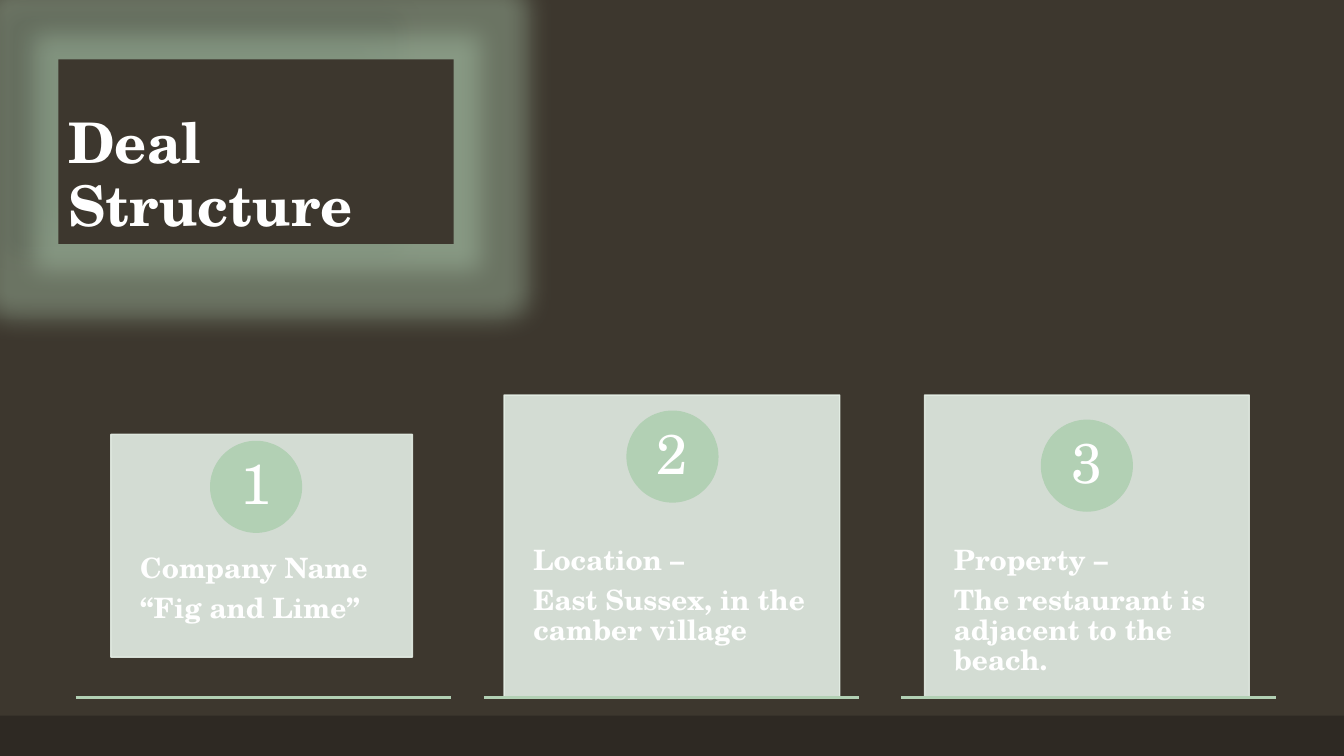
from lxml.etree import SubElement
from pptx import Presentation
from pptx.dml.color import RGBColor
from pptx.enum.shapes import MSO_CONNECTOR, MSO_SHAPE
from pptx.enum.text import MSO_ANCHOR, PP_ALIGN
from pptx.oxml.ns import qn
from pptx.util import Inches, Pt

FONT = "TeX Gyre Schola"
BACKGROUND, FOOTER, WHITE = "3D372E", "2E2923", "FFFFFF"
GREEN, PALE_GREEN = "B2D0B4", "E4EEE5"
WIDTH, HEIGHT = 13.33, 7.5
BADGE = 0.9
BASELINE = 6.92
RULE_WIDTH = 3.72

# rule left, card box, text top, badge (left, top), paragraphs
STEPS = [
    (0.75, (1.1, 4.31, 2.99, 2.21), 5.15, (2.09, 4.38),
     ["Company Name", "“Fig and Lime”"]),
    (4.8, (5, 3.92, 3.33, 3), 5.06, (6.22, 4.08),
     ["Location –", "East Sussex, in the camber village"]),
    (8.94, (9.17, 3.92, 3.22, 3), 5.06, (10.33, 4.17),
     ["Property –", "The restaurant is adjacent to the beach."]),
]


def rgb(color):
    return RGBColor.from_string(color)


def set_alpha(color_parent, percent):
    color = next(color_parent.iter(qn("a:srgbClr")))
    SubElement(color, qn("a:alpha"), val=str(percent * 1000))


def add_block(slide, kind, box, fill, outline=None):
    block = slide.shapes.add_shape(kind, *map(Inches, box))
    block.shadow.inherit = False
    block.fill.solid()
    block.fill.fore_color.rgb = rgb(fill)
    if outline:
        block.line.color.rgb = rgb(outline)
        block.line.width = Pt(1)
    else:
        block.line.fill.background()
    return block


def set_frame(frame, anchor, side, top):
    frame.word_wrap = True
    frame.vertical_anchor = anchor
    frame.margin_left = frame.margin_right = Inches(side)
    frame.margin_top = frame.margin_bottom = Inches(top)


def write(paragraph, words, size, bold=False, align=PP_ALIGN.LEFT):
    paragraph.alignment = align
    paragraph.line_spacing = 0.9
    run = paragraph.add_run()
    run.text = words
    run.font.name = FONT
    run.font.size = Pt(size)
    run.font.bold = bold
    run.font.color.rgb = rgb(WHITE)


def add_halo(block):
    """Give the block a green glow and a reduced dark shadow."""
    effects = block._element.spPr.find(qn("a:effectLst"))
    glow = SubElement(effects, qn("a:glow"), rad=str(Inches(0.5)))
    SubElement(glow, qn("a:srgbClr"), val=GREEN)
    set_alpha(glow, 40)
    shadow = SubElement(effects, qn("a:outerShdw"), blurRad=str(Pt(4)),
                        dist=str(Pt(4)), dir="5400000", sx="73500",
                        sy="73500", algn="tl", rotWithShape="0")
    SubElement(shadow, qn("a:srgbClr"), val="000000")
    set_alpha(shadow, 43)


def add_title(slide, box):
    """Place the title over its panel, so that only the panel glows."""
    add_halo(add_block(slide, MSO_SHAPE.RECTANGLE, box, BACKGROUND))
    frame = slide.shapes.add_textbox(*map(Inches, box)).text_frame
    set_frame(frame, MSO_ANCHOR.BOTTOM, 0.1, 0.05)
    for words, size in (("Deal", 40), (" ", 48), ("Structure", 40)):
        write(frame.paragraphs[0], words, size, bold=True)


def add_card(slide, box, text_top, paragraphs):
    card = add_block(slide, MSO_SHAPE.RECTANGLE, box, PALE_GREEN, PALE_GREEN)
    set_alpha(card._element.spPr.find(qn("a:solidFill")), 90)
    set_alpha(card._element.spPr.find(qn("a:ln")), 90)
    left, top, width, height = box
    label = slide.shapes.add_textbox(
        *map(Inches, (left, text_top, width, top + height - text_top)))
    frame = label.text_frame
    set_frame(frame, MSO_ANCHOR.TOP, 0.29, 0.36)
    for index, words in enumerate(paragraphs):
        paragraph = frame.add_paragraph() if index else frame.paragraphs[0]
        write(paragraph, words, 20, bold=True)
        paragraph.space_after = Pt(7)


def add_badge(slide, left, top, number):
    badge = add_block(slide, MSO_SHAPE.OVAL, (left, top, BADGE, BADGE),
                      GREEN, GREEN)
    set_frame(badge.text_frame, MSO_ANCHOR.MIDDLE, 0.07, 0.01)
    write(badge.text_frame.paragraphs[0], str(number), 40,
          align=PP_ALIGN.CENTER)


def add_rule(slide, left):
    rule = slide.shapes.add_connector(
        MSO_CONNECTOR.STRAIGHT,
        *map(Inches, (left, BASELINE, left + RULE_WIDTH, BASELINE)))
    rule.line.color.rgb = rgb(GREEN)
    rule.line.width = Pt(1.5)
    SubElement(rule._element.spPr, qn("a:effectLst"))


def main():
    deck = Presentation()
    deck.slide_width, deck.slide_height = Inches(WIDTH), Inches(HEIGHT)
    slide = deck.slides.add_slide(deck.slide_layouts[6])
    slide.background.fill.solid()
    slide.background.fill.fore_color.rgb = rgb(BACKGROUND)
    add_block(slide, MSO_SHAPE.RECTANGLE, (0, 7.1, WIDTH, HEIGHT - 7.1), FOOTER)
    add_title(slide, (0.58, 0.59, 3.92, 1.83))
    for number, step in enumerate(STEPS, 1):
        rule_left, card_box, text_top, badge_corner, paragraphs = step
        add_card(slide, card_box, text_top, paragraphs)
        add_badge(slide, *badge_corner, number)
        add_rule(slide, rule_left)
    deck.save("out.pptx")


if __name__ == "__main__":
    main()
